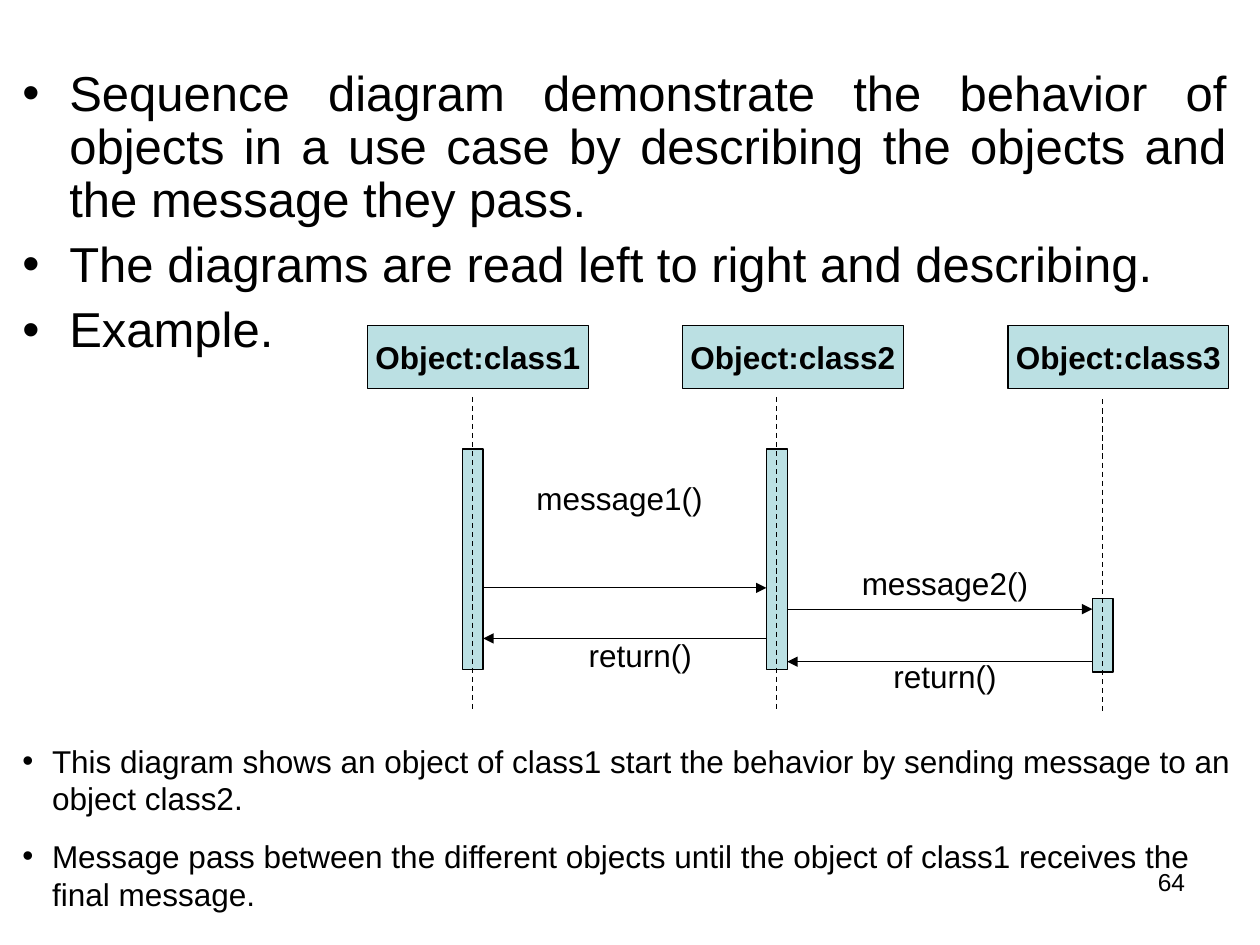
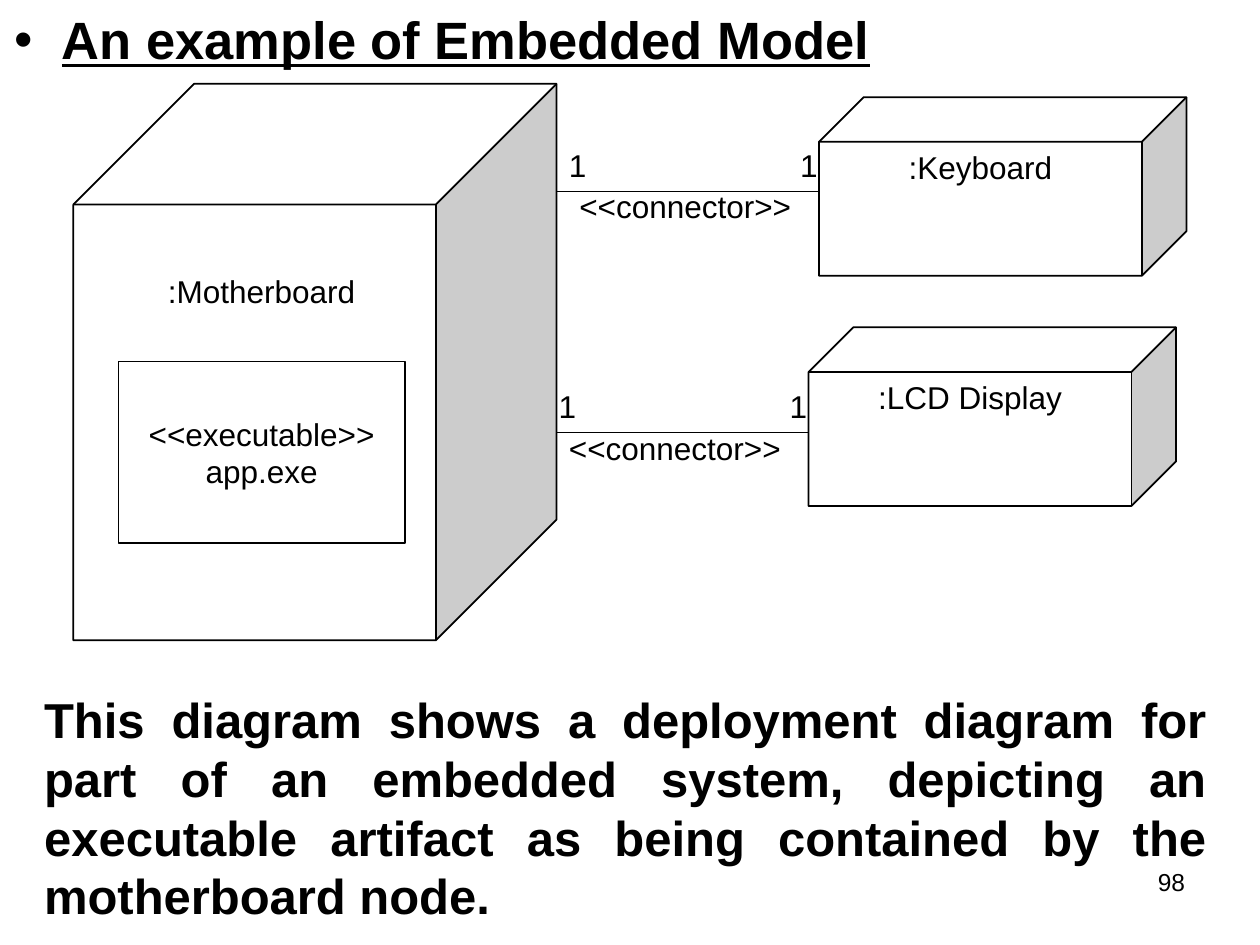
from lxml import etree
from pptx import Presentation
from pptx.dml.color import RGBColor
from pptx.enum.dml import MSO_LINE
from pptx.enum.shapes import MSO_CONNECTOR, MSO_SHAPE
from pptx.enum.text import MSO_ANCHOR, PP_ALIGN
from pptx.oxml.ns import qn
from pptx.util import Cm, Pt

LEFT, CENTER, RIGHT, JUSTIFY = PP_ALIGN.LEFT, PP_ALIGN.CENTER, PP_ALIGN.RIGHT, PP_ALIGN.JUSTIFY
TOP, MIDDLE = MSO_ANCHOR.TOP, MSO_ANCHOR.MIDDLE
RECTANGLE, CUBE = MSO_SHAPE.RECTANGLE, MSO_SHAPE.CUBE
STRAIGHT, DASH = MSO_CONNECTOR.STRAIGHT, MSO_LINE.DASH
BLANK_LAYOUT = 6

INK, PAPER, TEAL = "000000", "FFFFFF", "BBE0E3"
FONT = "Arial"
LABEL_HEIGHT = 1.02


def color(hex_code):
    """Return the colour for a hex string."""
    return RGBColor.from_string(hex_code)


class Deck:
    """Hold the shared style and the slide being drawn."""

    def __init__(self):
        """Start a 4:3 presentation."""
        self.presentation = Presentation()
        self.presentation.slide_width = Cm(25.4)
        self.presentation.slide_height = Cm(19.05)
        self.slide = None

    def new_slide(self):
        """Add a blank white slide and make it current."""
        layout = self.presentation.slide_layouts[BLANK_LAYOUT]
        self.slide = self.presentation.slides.add_slide(layout)
        fill = self.slide.background.fill
        fill.solid()
        fill.fore_color.rgb = color(PAPER)

    def set_lines(self, frame, lines, size=18, bold=False, underline=False, align=CENTER,
                  gap=0, spacing=None, indent=None, inset=(0.25, 0.13)):
        """Fill a text frame, one paragraph a line, bulleted if an indent is given."""
        frame.margin_left = frame.margin_right = Cm(inset[0])
        frame.margin_top = frame.margin_bottom = Cm(inset[1])
        frame.text = "\n".join(lines)
        for number, paragraph in enumerate(frame.paragraphs):
            if indent:
                self.bullet(paragraph, indent)
            paragraph.alignment = align
            if spacing:
                paragraph.line_spacing = spacing
            if number:
                paragraph.space_before = Pt(gap)
            for run in paragraph.runs:
                run.font.name = FONT
                run.font.size = Pt(size)
                run.font.bold = bold
                run.font.underline = underline
                run.font.color.rgb = color(INK)

    def bullet(self, paragraph, indent):
        """Give a paragraph a round bullet and a hanging indent."""
        properties = paragraph._p.get_or_add_pPr()
        properties.set("marL", str(Cm(indent)))
        properties.set("indent", str(-Cm(indent)))
        etree.SubElement(properties, qn("a:buFont"), typeface=FONT)
        etree.SubElement(properties, qn("a:buChar"), char="•")

    def text(self, left, top, width, height, *lines, **style):
        """Add a wrapping text box."""
        box = self.slide.shapes.add_textbox(Cm(left), Cm(top), Cm(width), Cm(height))
        box.text_frame.word_wrap = True
        self.set_lines(box.text_frame, lines, **style)

    def shape(self, kind, left, top, width, height, *lines, fill=PAPER, weight=1,
              anchor=MIDDLE, **style):
        """Add an outlined shape, with text if lines are given."""
        shape = self.slide.shapes.add_shape(kind, Cm(left), Cm(top), Cm(width), Cm(height))
        shape.shadow.inherit = False
        shape.fill.solid()
        shape.fill.fore_color.rgb = color(fill)
        shape.line.color.rgb = color(INK)
        shape.line.width = Pt(weight)
        if lines:
            shape.text_frame.word_wrap = False
            shape.text_frame.vertical_anchor = anchor
            self.set_lines(shape.text_frame, lines, **style)

    def line(self, x1, y1, x2, y2, weight=1, dashed=False, arrow=False):
        """Add a straight line, dashed or ending in an arrowhead if asked."""
        connector = self.slide.shapes.add_connector(STRAIGHT, Cm(x1), Cm(y1), Cm(x2), Cm(y2))
        connector.line.color.rgb = color(INK)
        connector.line.width = Pt(weight)
        if dashed:
            connector.line.dash_style = DASH
        if arrow:
            etree.SubElement(connector.line._get_or_add_ln(), qn("a:tailEnd"), type="triangle")
        etree.SubElement(connector._element.spPr, qn("a:effectLst"))

    def page_number(self, number):
        """Add the page number at the lower right."""
        self.text(18.21, 17.35, 5.93, 1.32, str(number), size=14, align=RIGHT)


def sequence_slide(deck):
    """Draw the sequence diagram with its notes."""
    deck.new_slide()
    deck.text(0.2, 1.27, 24.77, 6.55,
              "Sequence diagram demonstrate the behavior of objects in a use case by "
              "describing the objects and the message they pass.",
              "The diagrams are read left to right and describing.",
              "Example.",
              size=28, align=JUSTIFY, gap=7, spacing=0.9, indent=0.95)

    lifelines = (9.53, 15.66, 22.23)
    headers = (7.41, 13.76, 20.32)
    lifeline_tops = (8, 8, 8.05)
    activations = ((9.05, 4.45), (9.05, 4.45), (12.07, 1.48))
    half_bar = 0.21
    for number, (x, header, start, (top, height)) in enumerate(
            zip(lifelines, headers, lifeline_tops, activations), 1):
        deck.shape(RECTANGLE, header, 6.56, 4.45, 1.27, f"Object:class{number}",
                   fill=TEAL, weight=0.75, bold=True)
        deck.shape(RECTANGLE, x - half_bar, top, 2 * half_bar, height, fill=TEAL, weight=0.75)
        deck.line(x, start, x, start + 6.35, weight=0.75, dashed=True)

    messages = (
        ("message1()", 0, 1, 11.85, 9.74, 9.53, 5.5),
        ("message2()", 1, 2, 12.28, 16.72, 11.25, 4.66),
        ("return()", 1, 0, 12.87, 10.58, 12.7, 4.66),
        ("return()", 2, 1, 13.34, 16.72, 13.12, 4.66),
    )
    for message, sender, receiver, y, left, top, width in messages:
        edge = half_bar if receiver > sender else -half_bar
        deck.line(lifelines[sender] + edge, y, lifelines[receiver] - edge, y,
                  weight=0.75, arrow=True)
        deck.text(left, top, width, LABEL_HEIGHT, message)

    deck.text(0.2, 14.82, 25.2, 3.7,
              "This diagram shows an object of class1 start the behavior by sending "
              "message to an object class2.",
              "Message pass between the different objects until the object of class1 "
              "receives the final message.",
              align=LEFT, gap=11.2, indent=0.6)
    deck.page_number(64)


def deployment_slide(deck):
    """Draw the deployment diagram of the embedded system."""
    deck.new_slide()
    deck.text(0, 0, 24.56, 1.9, "An example of Embedded Model", size=30, bold=True,
              underline=True, align=JUSTIFY, indent=0.95, inset=(0.3, 0.15))
    deck.line(16.93, 15.67, 16.93, 15.67, arrow=True)

    board_left, board_width = 1.48, 9.74
    deck.shape(CUBE, board_left, 1.69, board_width, 11.22)
    deck.shape(RECTANGLE, 2.39, 7.29, 5.77, 3.66, "<<executable>>", "app.exe")
    deck.text(2.57, 5.36, 5.41, LABEL_HEIGHT, ":Motherboard")

    peripherals = ((":Keyboard", 16.51, 1.96, 3.86), (":LCD Display", 16.3, 6.6, 8.72))
    for peripheral, left, top, link_y in peripherals:
        deck.line(board_left + board_width, link_y, left, link_y)
        deck.shape(CUBE, left, top, 7.41, 3.6, peripheral, anchor=TOP)
        for offset in (5.29, 0.63):
            deck.text(left - offset, link_y - 1.05, 1.07, LABEL_HEIGHT, "1", align=LEFT)
        deck.text(left - 5.08, link_y - 0.21, 4.88, LABEL_HEIGHT, "<<connector>>", align=LEFT)

    deck.text(0.64, 13.77, 23.93, 5,
              "This diagram shows a deployment diagram for part of an embedded system, "
              "depicting an executable artifact as being contained by the motherboard node.",
              size=28, bold=True, align=JUSTIFY)
    deck.page_number(98)


def main():
    """Build both slides and save them."""
    deck = Deck()
    sequence_slide(deck)
    deployment_slide(deck)
    deck.presentation.save("out.pptx")


if __name__ == "__main__":
    main()
